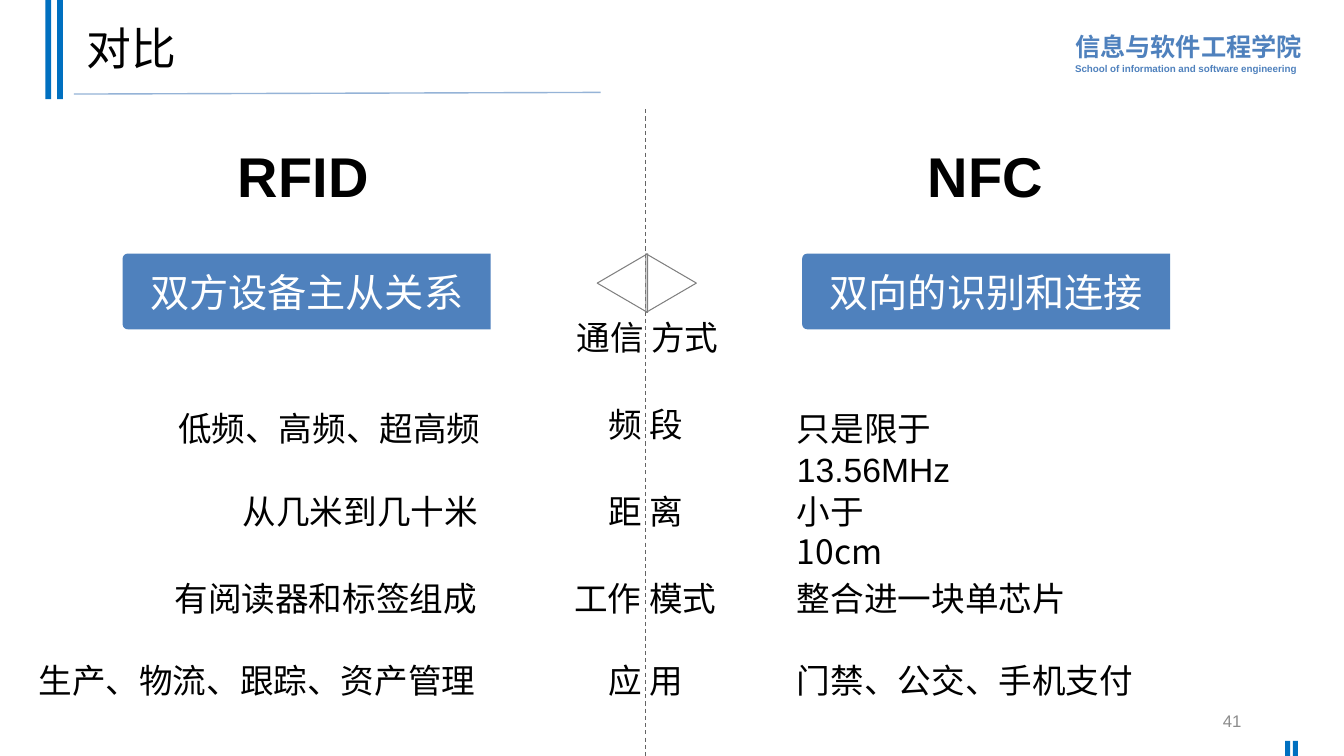
from dataclasses import dataclass
from math import cos, pi, sin

from lxml.etree import SubElement
from pptx import Presentation
from pptx.dml.color import RGBColor
from pptx.enum.dml import MSO_LINE
from pptx.enum.shapes import MSO_CONNECTOR, MSO_SHAPE
from pptx.enum.text import MSO_ANCHOR, PP_ALIGN
from pptx.oxml.ns import qn
from pptx.util import Inches, Pt

BLACK = RGBColor(0, 0, 0)
WHITE = RGBColor(255, 255, 255)
BLUE = RGBColor(0x4F, 0x81, 0xBD)
DEEP = RGBColor(0x00, 0x70, 0xC0)
PALE = RGBColor(0x95, 0xB3, 0xD7)
GRAY = RGBColor(0x8C, 0x8C, 0x8C)
EDGE = RGBColor(0x80, 0x80, 0x80)
DARK = RGBColor(0x64, 0x64, 0x64)
ARIAL, NOTO = "Arial", "Noto Sans CJK SC"
LEFT, MID, RIGHT = PP_ALIGN.LEFT, PP_ALIGN.CENTER, PP_ALIGN.RIGHT

# The slide is a grid of 16 columns and 9 rows.
WIDE, HIGH = Inches(13.33), Inches(7.5)
COLS, ROWS = 16, 9


@dataclass
class Box:
    x: float
    y: float
    w: float
    h: float

    def frame(self) -> tuple[int, int, int, int]:
        return col(self.x), row(self.y), col(self.w), row(self.h)


@dataclass
class Style:
    size: float
    face: str = NOTO
    color: RGBColor = BLACK
    bold: bool = False
    align: PP_ALIGN = LEFT


@dataclass
class Cell:
    text: str
    w: float
    face: str = NOTO
    align: PP_ALIGN = LEFT
    inset: float = 0


@dataclass
class Trait:
    y: float
    name: Cell
    rfid: Cell
    nfc: Cell


@dataclass
class Side:
    name: str
    motto: str
    head: float
    band: float


def col(n: float) -> int:
    return round(n * WIDE / COLS)


def row(n: float) -> int:
    return round(n * HIGH / ROWS)


def format_para(para, style: Style, gap: float = 1.0) -> None:
    para.alignment, para.line_spacing = style.align, gap
    for run in para.runs:
        font = run.font
        font.size, font.bold, font.name = Pt(style.size), style.bold, style.face
        font.color.rgb = style.color
        if style.face == NOTO:
            SubElement(font._element, qn("a:ea"), typeface=NOTO)


def write(slide, box: Box, text: str, style: Style, anchor=MSO_ANCHOR.TOP, inset: float = 0):
    """Add a text box; a right inset in columns makes its text wrap."""
    frame = slide.shapes.add_textbox(*box.frame()).text_frame
    frame.word_wrap = inset > 0
    if inset:
        frame.margin_right = col(inset)
    frame.vertical_anchor = anchor
    frame.text = text
    for para in frame.paragraphs:
        format_para(para, style)
    return frame


def draw_bar(slide, box: Box) -> None:
    bar = slide.shapes.add_shape(MSO_SHAPE.RECTANGLE, *box.frame())
    bar.shadow.inherit = False
    bar.fill.solid()
    bar.fill.fore_color.rgb = DEEP
    bar.line.fill.background()


def draw_line(slide, x1: float, y1: float, x2: float, y2: float, color: RGBColor, width: float):
    line = slide.shapes.add_connector(
        MSO_CONNECTOR.STRAIGHT, col(x1), row(y1), col(x2), row(y2))
    SubElement(line._element.spPr, qn("a:effectLst"))
    line.line.color.rgb = color
    line.line.width = Pt(width)
    return line.line


def draw_band(slide, box: Box, text: str) -> None:
    """Draw a banner whose two left corners are round."""
    x, y, w, h = box.frame()
    r = col(0.06)
    arcs = [(x + r + r * cos(a), cy + r * sin(a))
            for cy, base in ((y + h - r, pi / 2), (y + r, pi))
            for a in (base + k * pi / 12 for k in range(7))]
    path = slide.shapes.build_freeform(x + w, y)
    path.add_line_segments([(x + w, y + h), *arcs], close=True)
    band = path.convert_to_shape()
    band.shadow.inherit = False
    band.fill.solid()
    band.fill.fore_color.rgb = BLUE
    band.line.fill.background()
    frame = band.text_frame
    frame.vertical_anchor = MSO_ANCHOR.MIDDLE
    frame.text = text
    format_para(frame.paragraphs[0], Style(28, color=WHITE, align=MID))


def draw_arrow(slide, x: float, turn: int) -> None:
    arrow = slide.shapes.add_shape(
        MSO_SHAPE.ISOSCELES_TRIANGLE, *Box(x, 3.07, 0.7, 0.6).frame())
    arrow.shadow.inherit = False
    arrow.rotation = turn
    arrow.fill.background()
    arrow.line.color.rgb = EDGE
    arrow.line.width = Pt(0.75)


def put_cell(slide, cell: Cell, x: float, y: float) -> None:
    style = Style(24, cell.face, align=cell.align)
    write(slide, Box(x, y, cell.w, 0.6), cell.text, style, inset=cell.inset)


SIDES = [Side("RFID", "双方设备主从关系", 1.42, 1.46),
         Side("NFC", "双向的识别和连接", 9.54, 9.55)]
TRAITS = [
    Trait(4.8, Cell("频 段", 1.18), Cell("低频、高频、超高频", 4.43, ARIAL, RIGHT),
          Cell("只是限于13.56MHz", 3.7, ARIAL, inset=1.2)),
    Trait(5.78, Cell("距 离", 1.18), Cell("从几米到几十米", 3.07),
          Cell("小于10cm", 2.11, inset=0.6)),
    Trait(6.82, Cell("工作 模式", 1.98), Cell("有阅读器和标签组成", 3.88),
          Cell("整合进一块单芯片", 3.47)),
    Trait(7.8, Cell("应 用", 1.18), Cell("生产、物流、跟踪、资产管理", 5.5),
          Cell("门禁、公交、手机支付", 4.28)),
]
AXIS, RFID_END, NFC_START = 7.71, 5.84, 9.37


def draw_frame(slide) -> None:
    """Draw the school name, the bars, the title and the page number."""
    school = write(slide, Box(12.68, 0.28, 2.94, 0.67),
                   "信息与软件工程学院\nSchool of information and software engineering",
                   Style(18, ARIAL, BLUE, True))
    for para, size in zip(school.paragraphs, (18, 7)):
        format_para(para, Style(size, ARIAL, BLUE, True), 1.1)
    for x in (0.54, 0.68):
        draw_bar(slide, Box(x, 0, 0.07, 1.18))
    for x in (15.3, 15.39):
        draw_bar(slide, Box(x, 8.82, 0.06, 0.18))
    draw_line(slide, 0.88, 1.12, 7.15, 1.1, PALE, 1)

    title = slide.shapes.title
    title.left, title.top, title.width, title.height = Box(0.91, 0.08, 13.8, 1.06).frame()
    title.text_frame.text = "对比"
    title.text_frame.vertical_anchor = MSO_ANCHOR.MIDDLE
    format_para(title.text_frame.paragraphs[0], Style(32, ARIAL), 0.9)
    write(slide, Box(11.3, 8.34, 3.6, 0.48), "41",
          Style(12, ARIAL, GRAY, align=RIGHT), MSO_ANCHOR.MIDDLE)


def main() -> None:
    deck = Presentation()
    deck.slide_width, deck.slide_height = WIDE, HIGH
    slide = deck.slides.add_slide(deck.slide_layouts[5])
    draw_frame(slide)
    draw_line(slide, 7.69, 1.3, 7.69, 9, DARK, 0.75).dash_style = MSO_LINE.DASH
    for side in SIDES:
        write(slide, Box(side.head, 1.63, 4.38, 0.91), side.name,
              Style(40, ARIAL, bold=True, align=MID), MSO_ANCHOR.MIDDLE)
        draw_band(slide, Box(side.band, 3.02, 4.38, 0.9), side.motto)
    for x, turn in ((7.06, 270), (7.64, 90)):
        draw_arrow(slide, x, turn)
    put_cell(slide, Cell("通信 方式", 1.98, align=MID), AXIS - 0.99, 3.71)
    for trait in TRAITS:
        lift = 0.05 if trait is TRAITS[0] else 0
        put_cell(slide, trait.name, AXIS - trait.name.w / 2, trait.y - lift)
        put_cell(slide, trait.rfid, RFID_END - trait.rfid.w, trait.y)
        put_cell(slide, trait.nfc, NFC_START, trait.y)
    deck.save("out.pptx")


if __name__ == "__main__":
    main()
